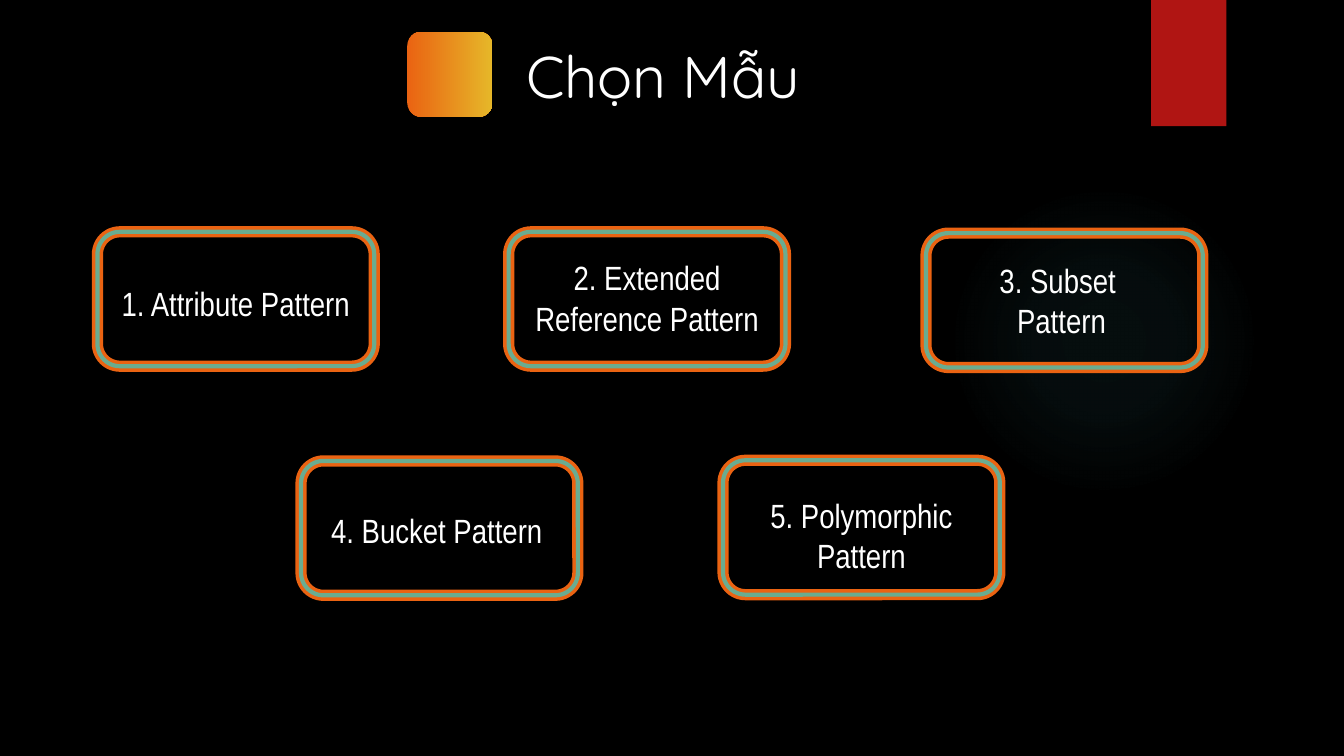
from dataclasses import dataclass

from lxml import etree
from pptx import Presentation
from pptx.dml.color import RGBColor
from pptx.enum import shapes, text
from pptx.oxml.ns import qn
from pptx.util import Emu, Pt

PX = 4572
CARD_W, CARD_H = 412, 200
INSET = 20
CORNER = 0.167


@dataclass(frozen=True)
class Theme:
    """Colours, fonts and type sizes of the slide."""
    background: str = "000000"
    ink: str = "FFFFFF"
    ribbon: str = "B01513"
    orange: str = "EA6312"
    yellow: str = "E6B729"
    green: str = "6AAC90"
    glow: str = "50B9C1"
    title_font: str = "Quicksand"
    title_size: float = 31.5
    card_font: str = "Arial Narrow"
    card_size: float = 18
    outer_line: float = 6
    inner_line: float = 2.25


THEME = Theme()

CARDS = [
    ((145, 345), (161, 358, 380, 186), ["1. Attribute Pattern"]),
    ((757, 345), (757, 372, 412, 142), ["2. Extended Reference Pattern"]),
    ((1378, 347), (1368, 347, 412, 200), ["3. Subset", " Pattern"]),
    ((448, 686), (460, 689, 380, 200), ["4. Bucket Pattern"]),
    ((1076, 685), (1092, 703, 380, 186), ["5. Polymorphic Pattern"]),
]


def px(*values):
    """Turn px lengths into EMU."""
    return [Emu(value * PX) for value in values]


def rgb(value):
    """Turn a hex string into a colour."""
    return RGBColor.from_string(value)


def add_shape(parent, kind, box):
    """Add a preset shape with no shadow, fill or line."""
    sp = parent.add_shape(kind, *px(*box))
    sp.shadow.inherit = False
    sp.fill.background()
    sp.line.fill.background()
    if kind == shapes.MSO_SHAPE.ROUNDED_RECTANGLE:
        sp.adjustments[0] = CORNER
    return sp


def set_gradient(sp, stops, radial=False):
    """Fill a shape with (position, colour, opacity) stops in percent."""
    grad = etree.Element(qn("a:gradFill"), rotWithShape="1")
    stop_list = etree.SubElement(grad, qn("a:gsLst"))
    for position, colour, opacity in stops:
        stop = etree.SubElement(stop_list, qn("a:gs"), pos=str(position * 1000))
        clr = etree.SubElement(stop, qn("a:srgbClr"), val=colour)
        if opacity < 100:
            etree.SubElement(clr, qn("a:alpha"), val=str(opacity * 1000))
    if radial:
        centre = etree.SubElement(grad, qn("a:path"), path="circle")
        etree.SubElement(centre, qn("a:fillToRect"),
                         {side: "50000" for side in "ltrb"})
    else:
        etree.SubElement(grad, qn("a:lin"), ang="0", scaled="0")
    sp_pr = sp._element.spPr
    sp_pr.replace(sp_pr.find(qn("a:noFill")), grad)


def add_label(parent, box, lines, font, size):
    """Add a centred text box with one paragraph per line."""
    tf = parent.add_textbox(*px(*box)).text_frame
    tf.word_wrap = True
    tf.vertical_anchor = text.MSO_ANCHOR.MIDDLE
    tf.margin_left = tf.margin_top = tf.margin_right = tf.margin_bottom = Emu(INSET * PX)
    for i, line in enumerate(lines):
        p = tf.add_paragraph() if i else tf.paragraphs[0]
        p.alignment = text.PP_ALIGN.CENTER
        r = p.add_run()
        r.text = line
        r.font.name = font
        r.font.size = Pt(size)
        r.font.color.rgb = rgb(THEME.ink)


def add_card(parent, corner, label_box, lines):
    """Add a grouped card with a double outline and a label."""
    group = parent.add_group_shape().shapes
    for colour, width in ((THEME.orange, THEME.outer_line),
                          (THEME.green, THEME.inner_line)):
        sp = add_shape(group, shapes.MSO_SHAPE.ROUNDED_RECTANGLE,
                       (*corner, CARD_W, CARD_H))
        sp.line.color.rgb = rgb(colour)
        sp.line.width = Pt(width)
    add_label(group, label_box, lines, THEME.card_font, THEME.card_size)


def add_backdrop(slide):
    """Add the background colour, the soft glow and the ribbon."""
    fill = slide.background.fill
    fill.solid()
    fill.fore_color.rgb = rgb(THEME.background)
    glow = add_shape(slide.shapes, shapes.MSO_SHAPE.OVAL, (1412, 276, 462, 462))
    set_gradient(glow, [(0, THEME.glow, 7), (36, THEME.glow, 6), (69, THEME.glow, 0)],
                 radial=True)
    ribbon = add_shape(slide.shapes, shapes.MSO_SHAPE.RECTANGLE, (1713, 0, 112, 188))
    ribbon.fill.solid()
    ribbon.fill.fore_color.rgb = rgb(THEME.ribbon)


def add_heading(slide):
    """Add the title and its gradient tile."""
    add_label(slide.shapes, (100, 56, 1773, 112), ["Chọn Mẫu"],
              THEME.title_font, THEME.title_size)
    tile = add_shape(slide.shapes, shapes.MSO_SHAPE.ROUNDED_RECTANGLE, (606, 47, 127, 127))
    set_gradient(tile, [(0, THEME.orange, 100), (100, THEME.yellow, 100)])


def main():
    """Build the slide and save it."""
    prs = Presentation()
    prs.slide_width, prs.slide_height = px(2000, 1125)
    slide = prs.slides.add_slide(prs.slide_layouts[6])
    add_backdrop(slide)
    add_heading(slide)
    for corner, label_box, lines in CARDS:
        add_card(slide.shapes, corner, label_box, lines)
    prs.save("out.pptx")


if __name__ == "__main__":
    main()
